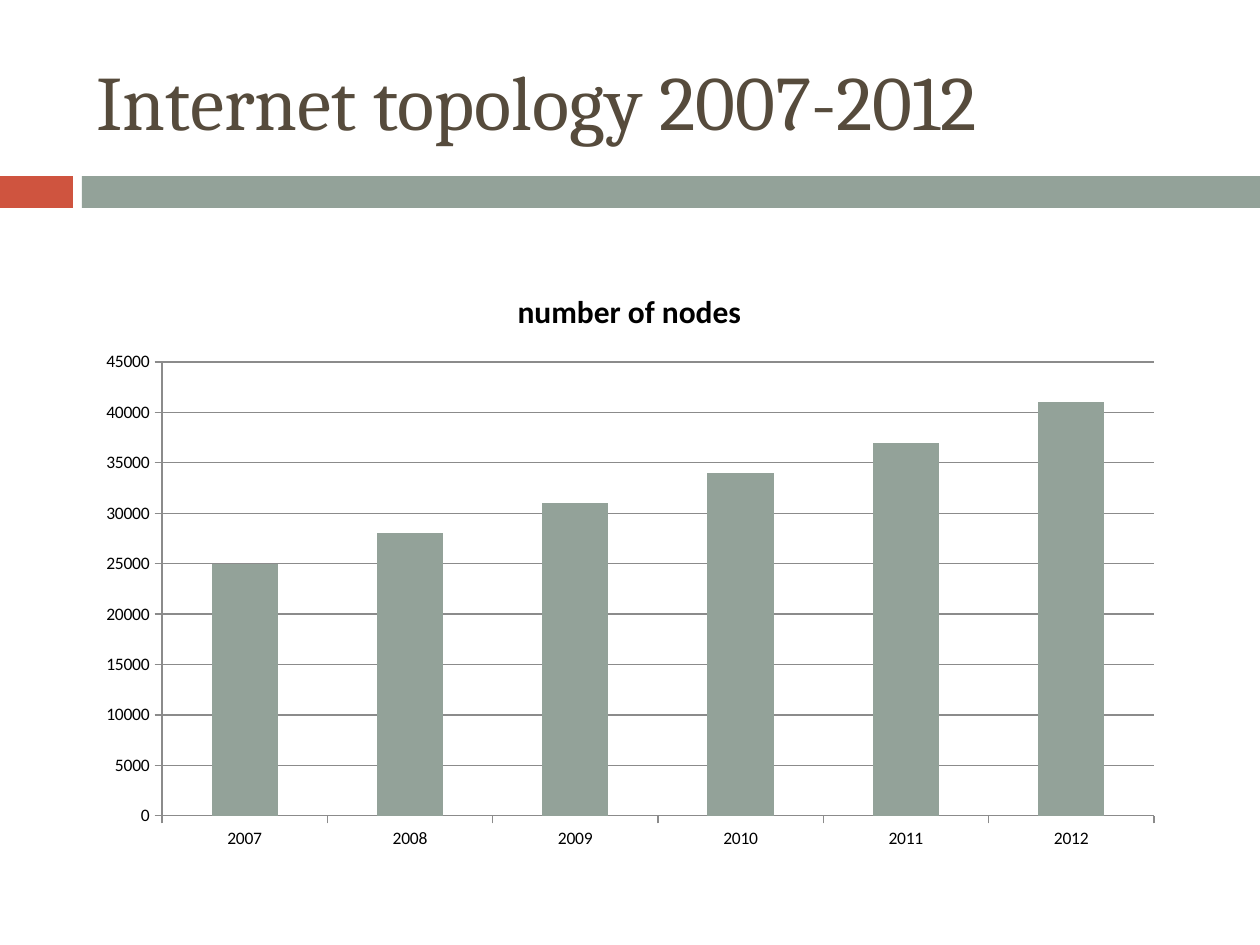
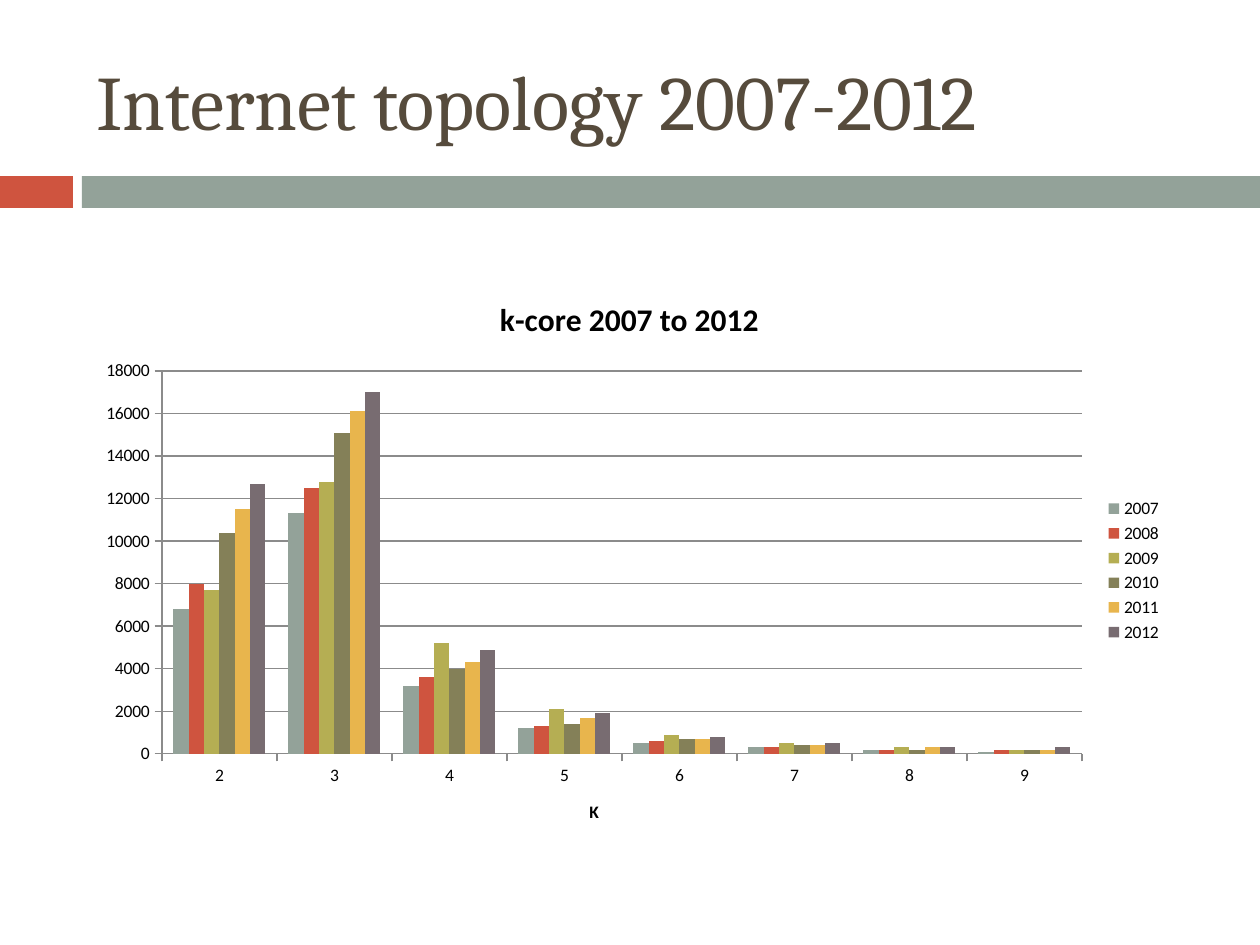
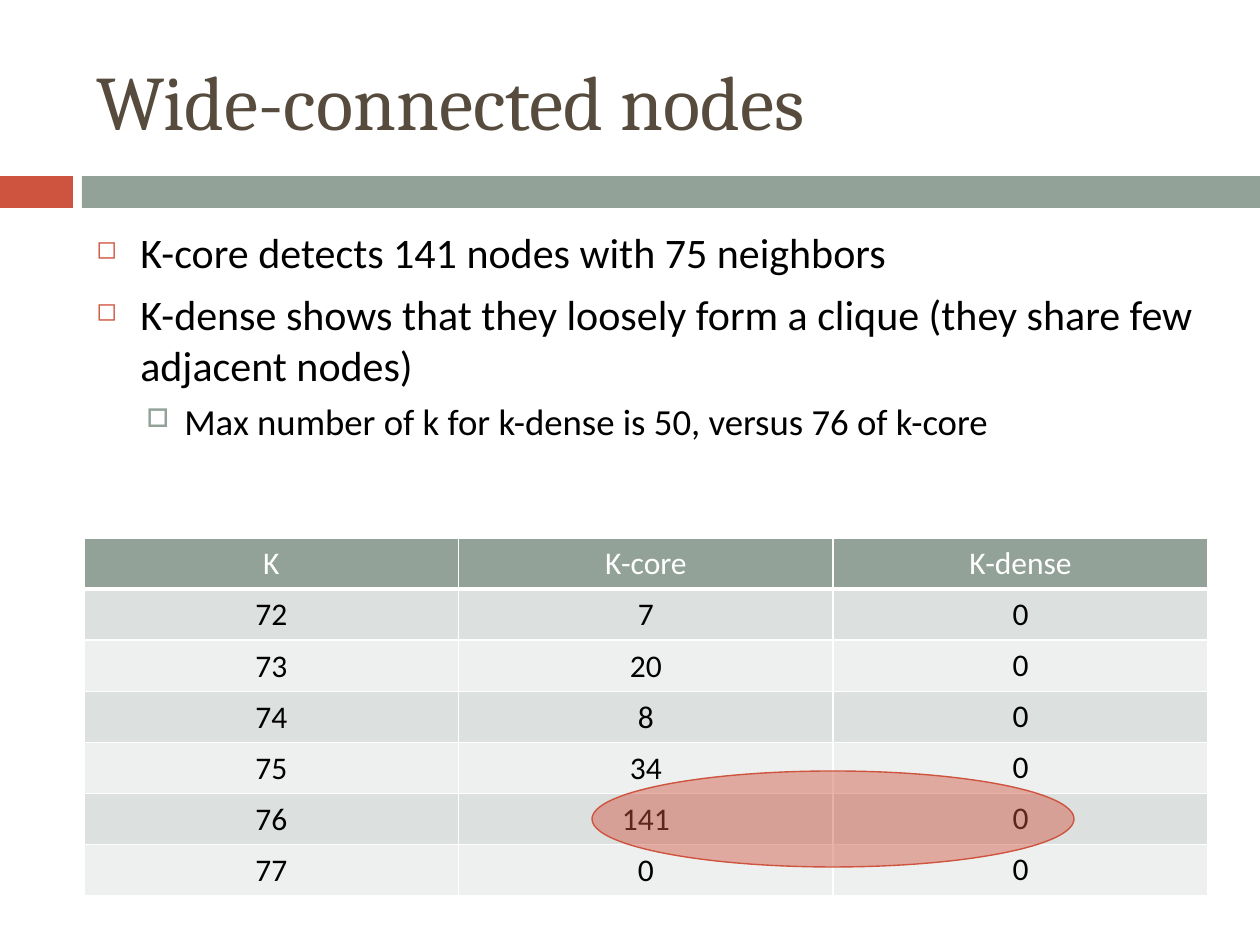
from lxml.etree import SubElement
from pptx import Presentation
from pptx.chart.data import CategoryChartData
from pptx.dml.color import RGBColor
from pptx.enum.chart import XL_CHART_TYPE, XL_LEGEND_POSITION, XL_TICK_MARK
from pptx.enum.shapes import MSO_SHAPE
from pptx.enum.text import MSO_ANCHOR, MSO_AUTO_SIZE, PP_ALIGN
from pptx.oxml import parse_xml
from pptx.oxml.ns import nsdecls, qn
from pptx.util import Emu, Pt

PX_PER_INCH = 126
TITLE_ONLY = 5

BLACK = RGBColor(0x00, 0x00, 0x00)
WHITE = RGBColor(0xFF, 0xFF, 0xFF)
BROWN = RGBColor(0x56, 0x4B, 0x3C)
SAGE = RGBColor(0x93, 0xA2, 0x99)
RED = RGBColor(0xCF, 0x54, 0x3F)
OLIVE = RGBColor(0xB5, 0xAE, 0x53)
MOSS = RGBColor(0x84, 0x80, 0x58)
AMBER = RGBColor(0xE8, 0xB5, 0x4D)
PLUM = RGBColor(0x78, 0x6C, 0x71)
AXIS_GREY = RGBColor(0x8B, 0x8B, 0x8B)
ROW_DARK = RGBColor(0xDC, 0xE0, 0xDE)
ROW_LIGHT = RGBColor(0xEE, 0xF0, 0xEF)
YEAR_COLOURS = [SAGE, RED, OLIVE, MOSS, AMBER, PLUM]

TITLE_BOX = (84, 32, 1124, 136)
BANDS = [((0, 176, 73, 32), RED), ((82, 176, 1178, 32), SAGE)]

YEARS = range(2007, 2013)
NODE_COUNTS = {"number of nodes": [25000, 28000, 31000, 34000, 37000, 41000]}
CORE_SIZES = {
    "2007": [6800, 11300, 3200, 1200, 500, 300, 200, 100],
    "2008": [8000, 12500, 3600, 1300, 600, 300, 200, 200],
    "2009": [7700, 12800, 5200, 2100, 900, 500, 300, 200],
    "2010": [10400, 15100, 4000, 1400, 700, 400, 200, 200],
    "2011": [11500, 16100, 4300, 1700, 700, 400, 300, 200],
    "2012": [12700, 17000, 4900, 1900, 800, 500, 300, 300],
}
FINDINGS = [
    (0, "K-core detects 141 nodes with 75 neighbors"),
    (0, "K-dense shows that they loosely form a clique (they share few adjacent nodes)"),
    (1, "Max number of k for k-dense is 50, versus 76 of k-core"),
]
LEVELS = [
    {"size": 24, "before": 7, "indent": 44, "hang": 44,
     "bullet": "◻", "colour": RED, "percent": 60},
    {"size": 21, "before": 5.5, "indent": 88, "hang": 38,
     "bullet": "□", "colour": SAGE, "percent": 70},
]
CORE_ROWS = [
    ("K", "K-core", "K-dense"),
    (72, 7, 0),
    (73, 20, 0),
    (74, 8, 0),
    (75, 34, 0),
    (76, 141, 0),
    (77, 0, 0),
]


def px(length):
    """Turn a length in px into EMU."""
    return Emu(round(length * 914400 / PX_PER_INCH))


def place(box):
    """Turn a px box into EMU arguments."""
    return [px(length) for length in box]


def set_format(target, formats):
    """Set every attribute named in a dict of format values."""
    for attribute, value in formats.items():
        setattr(target, attribute, value)


def style_font(font, size, colour=BLACK, name="Calibri", bold=False):
    """Give a font its face, size, weight and colour."""
    set_format(font, {"name": name, "size": Pt(size), "bold": bold})
    font.color.rgb = colour


def add_filled(slide, preset, box, colour):
    """Add a plain filled shape without a line."""
    shape = slide.shapes.add_shape(preset, *place(box))
    shape.shadow.inherit = False
    shape.fill.solid()
    shape.fill.fore_color.rgb = colour
    shape.line.fill.background()
    return shape


def add_bands(slide):
    """Put the coloured bands on the layout that the slide uses."""
    for box, colour in BANDS:
        band = add_filled(slide, MSO_SHAPE.RECTANGLE, box, colour)
        slide.slide_layout.shapes.element.append(band.element)


def add_titled_slide(deck, heading):
    """Add a slide with its formatted title."""
    slide = deck.slides.add_slide(deck.slide_layouts[TITLE_ONLY])
    title = slide.shapes.title
    set_format(title, dict(zip(("left", "top", "width", "height"), place(TITLE_BOX))))
    set_format(title.text_frame, {
        "text": heading,
        "vertical_anchor": MSO_ANCHOR.MIDDLE,
        "auto_size": MSO_AUTO_SIZE.NONE,
        "word_wrap": True,
    })
    line = title.text_frame.paragraphs[0]
    line.alignment = PP_ALIGN.LEFT
    style_font(line.runs[0].font, 44, BROWN, "Cambria")
    return slide


def write_heading(owner, wording, size):
    """Write the bold title of a chart or an axis."""
    frame = owner.text_frame
    frame.text = wording
    style_font(frame.paragraphs[0].runs[0].font, size, bold=True)


def fix_plot(chart, box, plot_box):
    """Fix the inner plot area of a chart at a px box."""
    left, top, width, height = box
    plot_left, plot_top, plot_width, plot_height = plot_box
    shares = {"x": (plot_left - left) / width, "y": (plot_top - top) / height,
              "w": plot_width / width, "h": plot_height / height}
    area = chart.element.find(".//" + qn("c:plotArea"))
    for automatic in area.findall(qn("c:layout")):
        area.remove(automatic)
    layout = parse_xml(f"<c:layout {nsdecls('c')}><c:manualLayout/></c:layout>")
    manual = layout[0]
    settings = [("layoutTarget", "inner"), ("xMode", "edge"), ("yMode", "edge")]
    settings += [(side, f"{share:.4f}") for side, share in shares.items()]
    for tag, value in settings:
        SubElement(manual, qn("c:" + tag)).set("val", value)
    area.insert(0, layout)


def add_column_chart(slide, heading, categories, counts, box, plot_box, top_value, step):
    """Add a clustered column chart and return it."""
    figures = CategoryChartData()
    figures.categories = categories
    for name, values in counts.items():
        figures.add_series(name, values)
    chart = slide.shapes.add_chart(
        XL_CHART_TYPE.COLUMN_CLUSTERED, *place(box), figures).chart
    style_font(chart.font, 10)
    chart.has_legend = False
    write_heading(chart.chart_title, heading, 18)
    columns = chart.plots[0]
    set_format(columns, {"gap_width": 150, "overlap": 0, "vary_by_categories": False})
    for series, colour in zip(columns.series, YEAR_COLOURS):
        series.format.fill.solid()
        series.format.fill.fore_color.rgb = colour
    scale = chart.value_axis
    set_format(scale, {"minimum_scale": 0, "maximum_scale": top_value,
                       "major_unit": step, "has_major_gridlines": True})
    for axis in (chart.category_axis, scale):
        axis.major_tick_mark = XL_TICK_MARK.OUTSIDE
        axis.format.line.color.rgb = AXIS_GREY
    scale.major_gridlines.format.line.color.rgb = AXIS_GREY
    fix_plot(chart, box, plot_box)
    return chart


def add_year_legend(chart):
    """Show the legend to the right of the columns."""
    chart.has_legend = True
    set_format(chart.legend, {"position": XL_LEGEND_POSITION.RIGHT,
                              "include_in_layout": False})
    style_font(chart.legend.font, 10)


def border_cell(cell, widths):
    """Draw white cell borders, with widths in points by side."""
    properties = cell._tc.get_or_add_tcPr()
    for side, width in widths.items():
        properties.append(parse_xml(
            f'<a:ln{side} {nsdecls("a")} w="{Pt(width)}"><a:solidFill>'
            f'<a:srgbClr val="{WHITE}"/></a:solidFill></a:ln{side}>'))


def fill_cell(cell, value, row, column):
    """Write and format one table cell."""
    header = row == 0
    border_cell(cell, {"L": 1, "R": 1, "T": 3 if row == 1 else 1, "B": 3 if header else 1})
    cell.fill.solid()
    cell.fill.fore_color.rgb = SAGE if header else (ROW_LIGHT, ROW_DARK)[row % 2]
    cell.vertical_anchor = MSO_ANCHOR.MIDDLE
    if column < 2:
        set_format(cell, {"margin_left": px(1), "margin_right": px(1),
                          "margin_top": px(1), "margin_bottom": 0})
    cell.text = str(value)
    line = cell.text_frame.paragraphs[0]
    line.alignment = PP_ALIGN.CENTER
    style_font(line.runs[0].font, 18, WHITE if header else BLACK)


def add_core_table(slide, rows, box):
    """Add the table of node counts by k."""
    table = slide.shapes.add_table(len(rows), len(rows[0]), *place(box)).table
    for row, values in enumerate(rows):
        for column, value in enumerate(values):
            fill_cell(table.cell(row, column), value, row, column)


def add_highlight(slide, box):
    """Mark a table row with a translucent ellipse."""
    ellipse = add_filled(slide, MSO_SHAPE.OVAL, box, RED)
    colour = ellipse.element.spPr.find(qn("a:solidFill"))[0]
    SubElement(colour, qn("a:alpha")).set("val", "45000")
    ellipse.line.color.rgb = RED
    ellipse.line.width = Pt(0.79)


def add_bullet(line, level):
    """Give a paragraph its indent and bullet."""
    properties = line._p.get_or_add_pPr()
    properties.set("marL", str(px(level["indent"])))
    properties.set("indent", str(px(-level["hang"])))
    colour = SubElement(properties, qn("a:buClr"))
    SubElement(colour, qn("a:srgbClr")).set("val", str(level["colour"]))
    SubElement(properties, qn("a:buSzPct")).set("val", str(level["percent"] * 1000))
    SubElement(properties, qn("a:buChar")).set("char", level["bullet"])


def add_bullets(slide, points, box):
    """Add a text box of bulleted points at their levels."""
    frame = slide.shapes.add_textbox(*place(box)).text_frame
    frame.word_wrap = True
    for index, (depth, wording) in enumerate(points):
        line = frame.add_paragraph() if index else frame.paragraphs[0]
        level = LEVELS[depth]
        set_format(line, {"text": wording, "level": depth,
                          "space_before": Pt(level["before"])})
        style_font(line.runs[0].font, level["size"])
        add_bullet(line, level)


def main():
    """Build the three slides and save them."""
    deck = Presentation()
    set_format(deck, {"slide_width": px(1260), "slide_height": px(945)})

    growth = add_titled_slide(deck, "Internet topology 2007-2012")
    add_bands(growth)
    add_column_chart(growth, "number of nodes", YEARS, NODE_COUNTS,
                     (84, 265, 1091, 595), (162, 362, 992, 454), 45000, 5000)

    cores = add_titled_slide(deck, "Internet topology 2007-2012")
    core_chart = add_column_chart(cores, "k-core 2007 to 2012", range(2, 10), CORE_SIZES,
                                  (84, 273, 1091, 595), (162, 371, 920, 383), 18000, 2000)
    write_heading(core_chart.category_axis.axis_title, "K", 10)
    add_year_legend(core_chart)

    wide = add_titled_slide(deck, "Wide-connected nodes")
    add_core_table(wide, CORE_ROWS, (84, 538, 1124, 357))
    add_highlight(wide, (592, 771, 482, 96))
    add_bullets(wide, FINDINGS, (84, 220, 1124, 620))

    deck.save("out.pptx")


if __name__ == "__main__":
    main()
